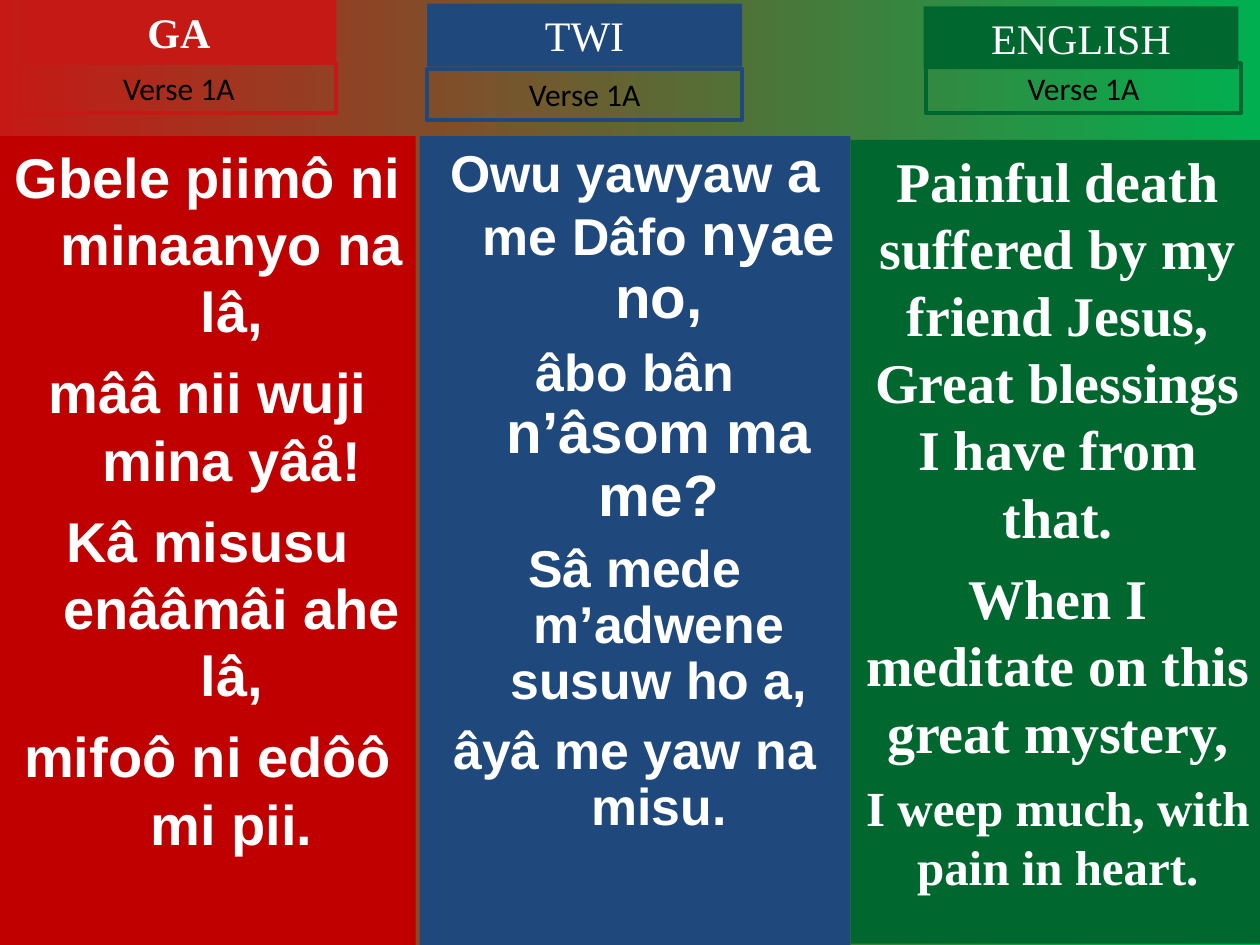
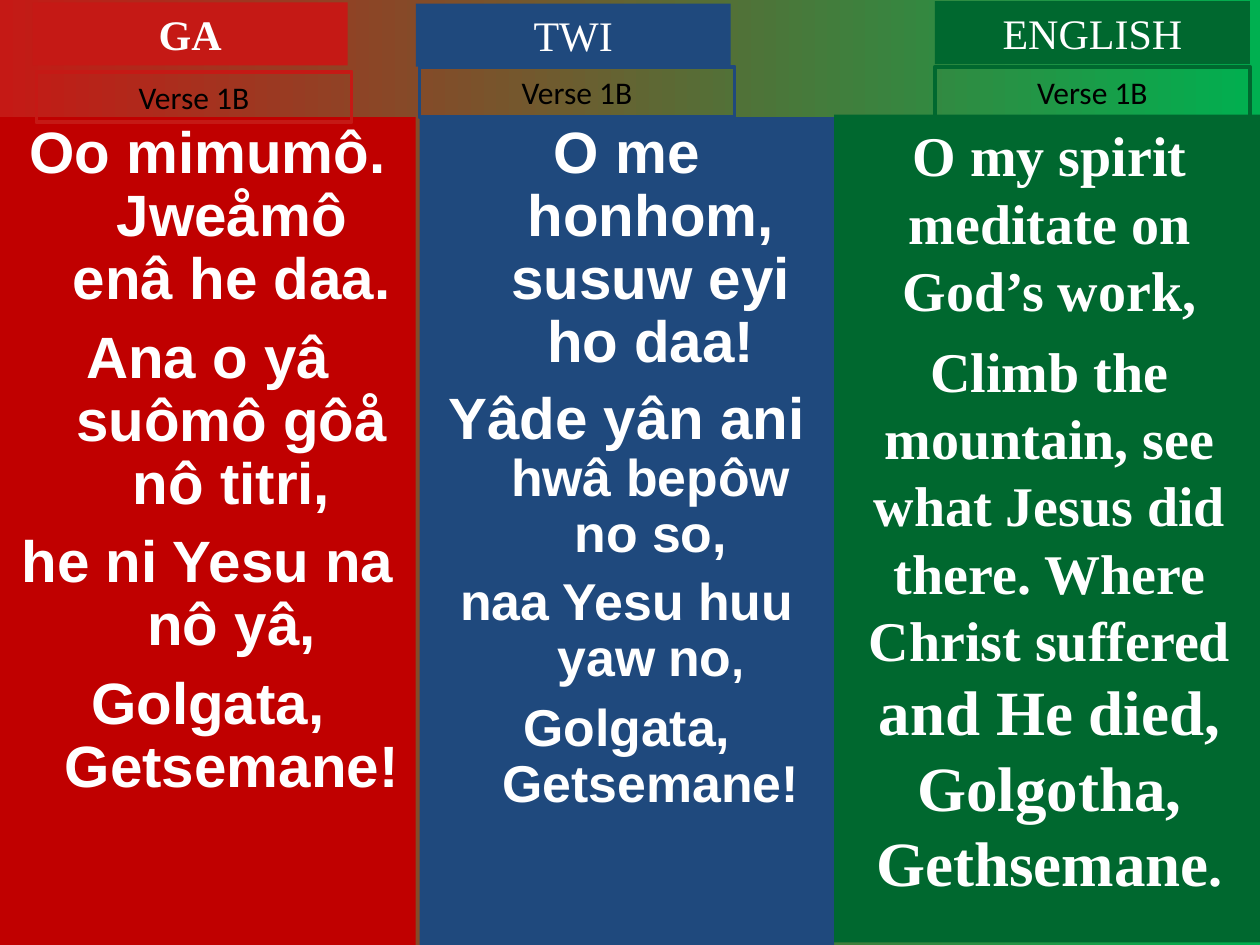
from pptx import Presentation
from pptx.dml.color import RGBColor
from pptx.enum.shapes import MSO_SHAPE
from pptx.enum.text import MSO_ANCHOR, PP_ALIGN
from pptx.util import Inches, Pt

RECTANGLE = MSO_SHAPE.RECTANGLE
TOP = MSO_ANCHOR.TOP
CENTER = PP_ALIGN.CENTER

# Shared colours and fonts
RED = RGBColor(0xC5, 0x19, 0x15)
DEEP_RED = RGBColor(0xC0, 0x00, 0x00)
BLUE = RGBColor(0x1F, 0x49, 0x7D)
GREEN = RGBColor(0x00, 0x68, 0x2F)
BRIGHT_GREEN = RGBColor(0x00, 0xB0, 0x50)
WHITE = RGBColor(0xFF, 0xFF, 0xFF)
BLACK = RGBColor(0x00, 0x00, 0x00)
SANS, SERIF, LABEL_FONT = "Arial", "Times New Roman", "Calibri"

# Shared measures
LABEL_WIDTH, TITLE_HEIGHT, VERSE_HEIGHT = 2.5, 0.5, 0.4
HANGING = 0.38
SMALL, LARGE = 29.6, 33.3

# Each language: title, title colour, panel colour, bold title, lyric font, hanging indent
LANGUAGES = [
    ("GA", RED, DEEP_RED, True, SANS, HANGING),
    ("TWI", BLUE, BLUE, False, SANS, HANGING),
    ("ENGLISH", GREEN, GREEN, False, SERIF, 0),
]

# Each column: title and verse positions, panel box, line spacing, and
# lyric lines as (space before, [(text, size), ...])
VERSE_1A = [
    ((0.17, 0), (0.17, 0.5), (0, 1.08, 3.3, 6.42), None, [
        (0, [("Gbele piimô ni minaanyo na lâ,", 32)]),
        (8, [("mââ nii wuji mina yâå!", 32)]),
        (8, [("Kâ misusu enââmâi ahe lâ,", 32)]),
        (8, [("mifoô ni edôô mi pii.", 32)]),
    ]),
    ((3.39, 0.03), (3.39, 0.55), (3.33, 1.08, 3.42, 6.42), 0.9, [
        (0, [("Owu yawyaw ", SMALL), ("a ", LARGE),
             ("me Dâfo ", SMALL), ("nyae no,", LARGE)]),
        (9, [("âbo bân ", SMALL), ("n’âsom ma me?", LARGE)]),
        (8, [("Sâ mede m’adwene susuw ho a,", SMALL)]),
        (8, [("âyâ me yaw na misu.", SMALL)]),
    ]),
    ((7.33, 0.05), (7.35, 0.5), (6.75, 1.11, 3.29, 6.38), None, [
        (0, [("Painful death suffered by my friend Jesus, "
              "Great blessings I have from that.", 32)]),
        (8, [("When I meditate on this great mystery,", 32)]),
        (7, [("I weep much, with pain in heart.", 28)]),
    ]),
]
VERSE_1B = [
    ((0.26, 0.02), (0.29, 0.57), (0, 0.93, 3.3, 6.57), 0.9, [
        (0, [("Oo mimumô. Jweåmô enâ he daa.", LARGE)]),
        (9, [("Ana o yâ suômô gôå nô titri,", LARGE)]),
        (9, [("he ni Yesu na nô yâ,", LARGE)]),
        (9, [("Golgata, Getsemane!", LARGE)]),
    ]),
    ((3.3, 0.03), (3.33, 0.53), (3.33, 0.93, 3.29, 6.57), 0.9, [
        (0, [("O me honhom, susuw eyi ho daa!", LARGE)]),
        (8, [("Yâde yân ani ", LARGE), ("hwâ bepôw no so,", SMALL)]),
        (7, [("naa Yesu huu yaw", SMALL), (" ", 25.9), ("no", SMALL), (",", 25.9)]),
        (8, [("Golgata, Getsemane!", SMALL)]),
    ]),
    ((7.42, 0.01), (7.42, 0.53), (6.62, 0.91, 3.42, 6.57), None, [
        (0, [("O my spirit meditate on God’s work,", 32)]),
        (8, [("Climb the mountain, see what Jesus did there. "
              "Where Christ suffered ", 32),
             ("and He died, Golgotha, Gethsemane", 36), (".", 32)]),
    ]),
]


def add_box(slide, left, top, width, height, fill=None, line=None):
    shape = slide.shapes.add_shape(
        RECTANGLE, Inches(left), Inches(top), Inches(width), Inches(height))
    shape.shadow.inherit = False
    if fill is None:
        shape.fill.background()
    else:
        shape.fill.solid()
        shape.fill.fore_color.rgb = fill
    if line is None:
        shape.line.fill.background()
    else:
        shape.line.color.rgb = line
        shape.line.width = Pt(2.25)
    return shape


def write_text(shape, lines, font, color=WHITE, bold=False, indent=0, spacing=None):
    """Fill a shape with centred lines of (space before, runs)."""
    frame = shape.text_frame
    frame.word_wrap = True
    frame.vertical_anchor = TOP
    for index, (space_before, runs) in enumerate(lines):
        paragraph = frame.add_paragraph() if index else frame.paragraphs[0]
        paragraph.alignment = CENTER
        paragraph.space_before = Pt(space_before)
        if spacing:
            paragraph.line_spacing = spacing
        if indent:
            properties = paragraph._p.get_or_add_pPr()
            properties.set("marL", str(Inches(indent)))
            properties.set("indent", str(-Inches(indent)))
        for text, size in runs:
            run = paragraph.add_run()
            run.text = text
            run.font.name = font
            run.font.size = Pt(size)
            run.font.bold = bold
            run.font.color.rgb = color


def add_background(slide):
    fill = slide.background.fill
    fill.gradient()
    fill.gradient_angle = 0
    for stop, color, position in zip(fill.gradient_stops, (RED, BRIGHT_GREEN), (0, 1)):
        stop.color.rgb = color
        stop.position = position


def add_language_column(slide, verse, language, column):
    title, title_color, panel_color, bold, font, indent = language
    title_at, verse_at, panel_at, spacing, lyrics = column

    # Lyrics panel
    panel = add_box(slide, *panel_at, fill=panel_color)
    write_text(panel, lyrics, font, bold=True, indent=indent, spacing=spacing)

    # Language title and verse label
    title_box = add_box(slide, *title_at, LABEL_WIDTH, TITLE_HEIGHT, fill=title_color)
    write_text(title_box, [(0, [(title, 24)])], SERIF, bold=bold)
    verse_box = add_box(slide, *verse_at, LABEL_WIDTH, VERSE_HEIGHT, line=title_color)
    write_text(verse_box, [(0, [(verse, 18)])], LABEL_FONT, color=BLACK)


def add_verse_slide(presentation, verse, columns):
    slide = presentation.slides.add_slide(presentation.slide_layouts[6])
    add_background(slide)
    for language, column in zip(LANGUAGES, columns):
        add_language_column(slide, verse, language, column)


def main():
    presentation = Presentation()
    presentation.slide_width = Inches(10)
    presentation.slide_height = Inches(7.5)
    add_verse_slide(presentation, "Verse 1A", VERSE_1A)
    add_verse_slide(presentation, "Verse 1B", VERSE_1B)
    presentation.save("out.pptx")


if __name__ == "__main__":
    main()
